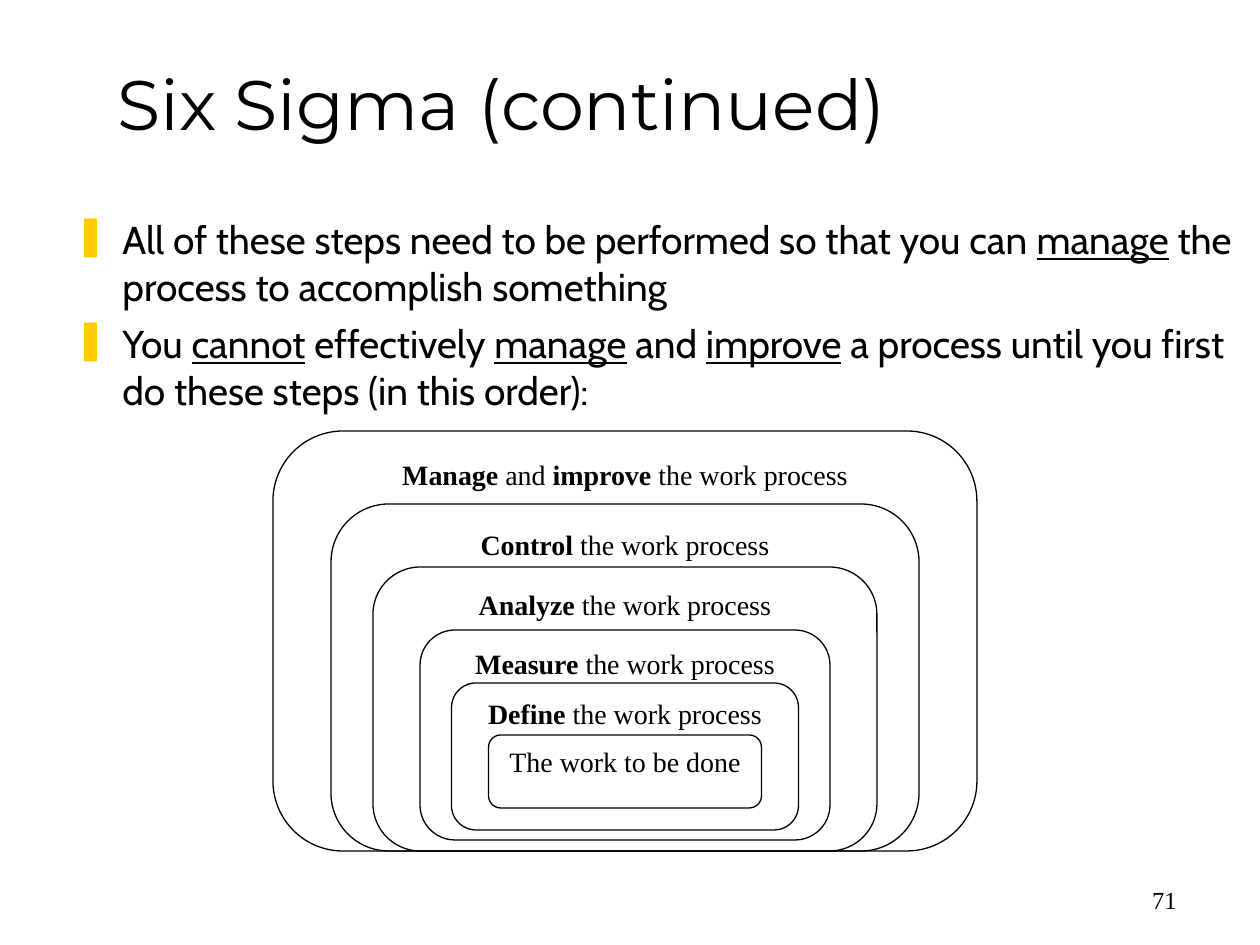
from lxml.etree import SubElement
from pptx import Presentation
from pptx.dml.color import RGBColor
from pptx.enum.shapes import MSO_SHAPE as Shape
from pptx.enum.text import MSO_ANCHOR as Anchor, PP_ALIGN as Align
from pptx.oxml.ns import qn
from pptx.util import Pt

PX = 914400 / 126
BLACK = RGBColor(0x00, 0x00, 0x00)
GOLD = RGBColor(0xFF, 0xCC, 0x00)
SERIF = "Times New Roman"
CENTRE = 625

BULLETS = [
    [("All of these steps need to be performed so that you can ", False),
     ("manage", True), (" the process to accomplish something", False)],
    [("You ", False), ("cannot", True), (" effectively ", False),
     ("manage", True), (" and ", False), ("improve", True),
     (" a process until you first do these steps (in this order):", False)],
]
PROCESS = (" the work process", False)
LAYERS = [
    (273, 735, 73, [("The work to be done", False)]),
    (347, 683, 147, [("Define", True), PROCESS]),
    (410, 630, 210, [("Measure", True), PROCESS]),
    (504, 567, 284, [("Analyze", True), PROCESS]),
    (588, 504, 347, [("Control", True), PROCESS]),
    (704, 431, 420, [("Manage", True), (" and ", False),
                     ("improve", True), PROCESS]),
]


def px(*lengths):
    return [round(length * PX) for length in lengths]


def style(font, name, size):
    font.name = name
    font.size = Pt(size)
    font.color.rgb = BLACK


def add_runs(paragraph, runs, emphasis, name, size):
    for text, emphasized in runs:
        run = paragraph.add_run()
        run.text = text
        style(run.font, name, size)
        setattr(run.font, emphasis, emphasized)


def add_text_box(slide, box, anchor):
    text_frame = slide.shapes.add_textbox(*px(*box)).text_frame
    text_frame.word_wrap = True
    text_frame.vertical_anchor = anchor
    return text_frame


def add_line(slide, box, text, name, size, align):
    text_frame = add_text_box(slide, box, Anchor.BOTTOM)
    text_frame.text = text
    paragraph = text_frame.paragraphs[0]
    paragraph.alignment = align
    style(paragraph.runs[0].font, name, size)
    return text_frame


def add_bullet(paragraph):
    indent = px(48)[0]
    properties = paragraph._p.get_or_add_pPr()
    properties.set("marL", str(indent))
    properties.set("indent", str(-indent))
    color = SubElement(properties, qn("a:buClr"))
    SubElement(color, qn("a:srgbClr"), val=str(GOLD))
    SubElement(properties, qn("a:buChar"), char="❚")


def add_bullets(slide, box, items):
    text_frame = add_text_box(slide, box, Anchor.TOP)
    for index, runs in enumerate(items):
        paragraph = text_frame.add_paragraph() if index else text_frame.paragraphs[0]
        add_bullet(paragraph)
        if index:
            paragraph.space_before = Pt(6)
        add_runs(paragraph, runs, "underline", "Cabin", 22.2)


def add_layer(slide, width, top, height, runs):
    box = px(CENTRE - width / 2, top, width, height)
    shape = slide.shapes.add_shape(Shape.ROUNDED_RECTANGLE, *box)
    shape.shadow.inherit = False
    shape.fill.background()
    shape.line.color.rgb = BLACK
    shape.line.width = Pt(0.75)
    text_frame = shape.text_frame
    text_frame.word_wrap = True
    text_frame.vertical_anchor = Anchor.TOP
    paragraph = text_frame.paragraphs[0]
    paragraph.alignment = Align.CENTER
    add_runs(paragraph, runs, "bold", SERIF, 16)


def main():
    presentation = Presentation()
    presentation.slide_width, presentation.slide_height = px(1260, 945)
    slide = presentation.slides.add_slide(presentation.slide_layouts[6])
    add_line(slide, (927, 858, 262, 63), "71", SERIF, 14, Align.RIGHT)
    title = add_line(slide, (105, 32, 1071, 116), "Six Sigma (continued)",
                     "Montserrat", 40, Align.LEFT)
    title.margin_bottom = px(3)[0]
    add_bullets(slide, (62, 210, 1188, 213), BULLETS)
    for layer in LAYERS:
        add_layer(slide, *layer)
    presentation.save("out.pptx")


if __name__ == "__main__":
    main()
